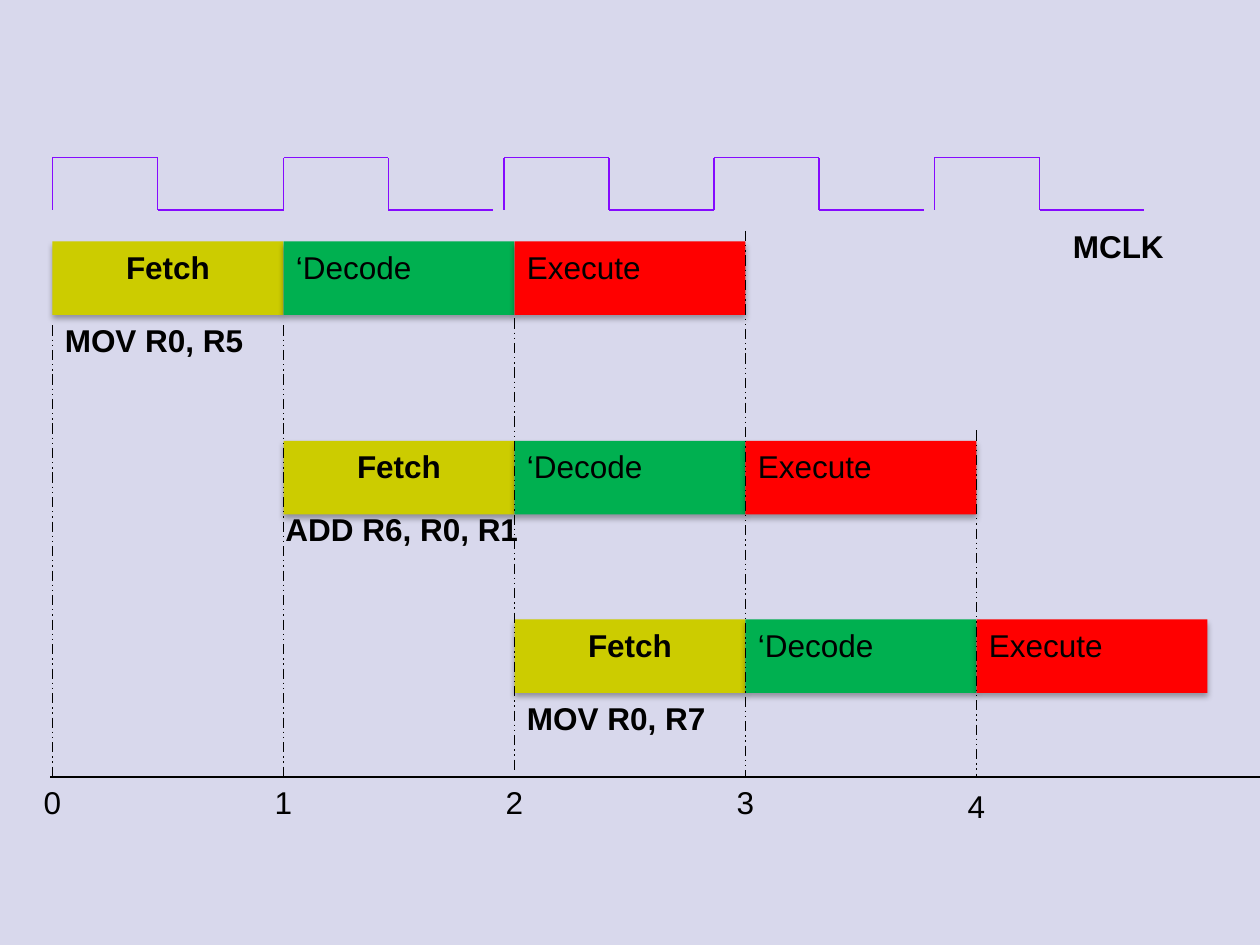
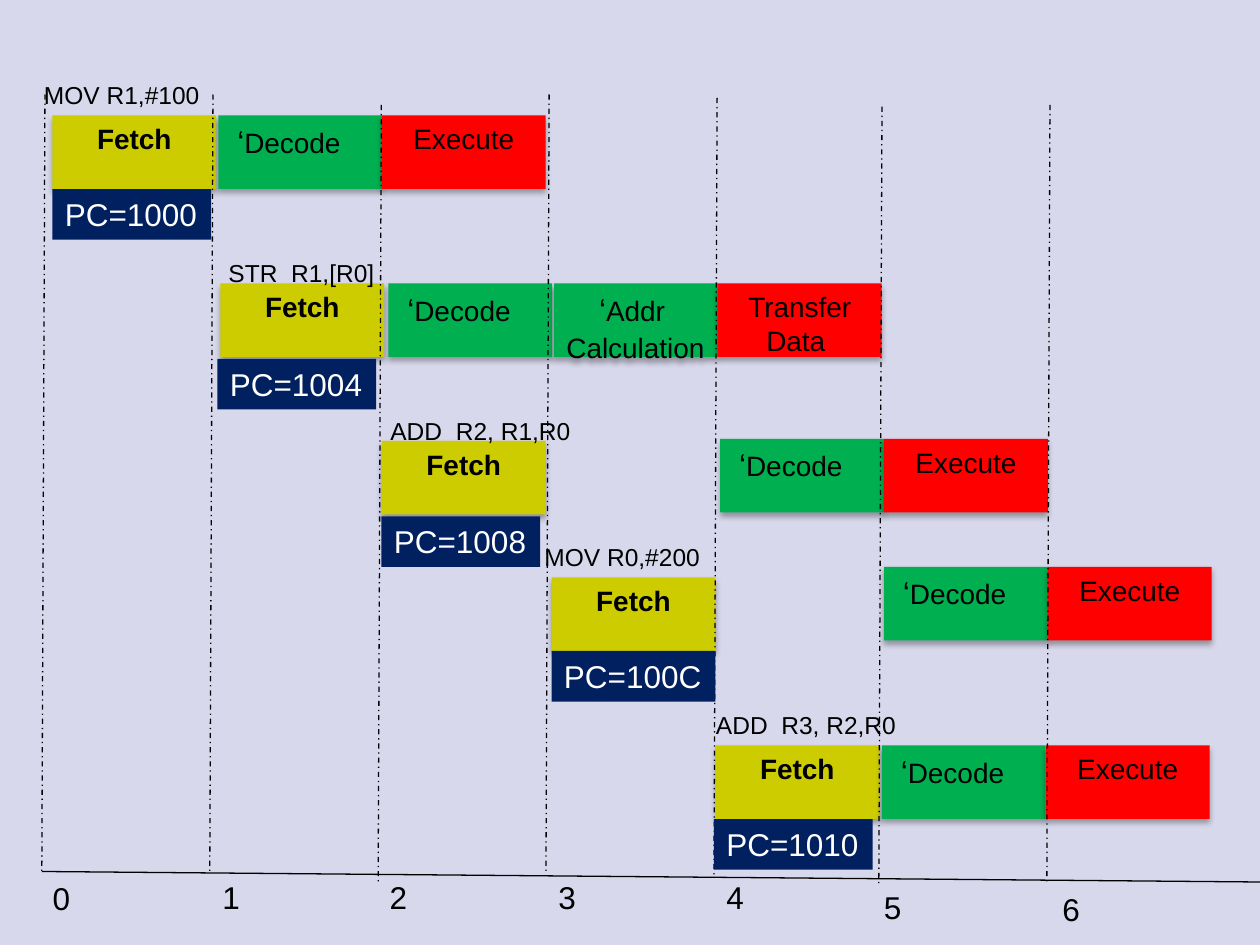
from lxml.etree import SubElement
from pptx import Presentation
from pptx.dml.color import RGBColor
from pptx.enum.dml import MSO_LINE
from pptx.enum.shapes import MSO_CONNECTOR, MSO_SHAPE
from pptx.enum.text import MSO_ANCHOR, MSO_AUTO_SIZE, PP_ALIGN
from pptx.oxml.ns import qn
from pptx.util import Pt

RECT, LINE = MSO_SHAPE.RECTANGLE, MSO_CONNECTOR.STRAIGHT
TOP, GROW = MSO_ANCHOR.TOP, MSO_AUTO_SIZE.SHAPE_TO_FIT_TEXT
LEFT, MID = PP_ALIGN.LEFT, PP_ALIGN.CENTER
DASH, DOTS = MSO_LINE.DASH_DOT, MSO_LINE.DASH_DOT_DOT
FONT = "Arial"
COLORS = {"back": "D8D8EC", "ink": "000000", "white": "FFFFFF", "clock": "850AFF",
          "fetch": "CCCC00", "decode": "00B050", "run": "FF0000", "pc": "002060"}

# Stage: fill, bold, lines of (text, size) runs
FETCH = ("fetch", True, [[("Fetch", 16)]])
DECODE = ("decode", False, [[("‘", 18), ("Decode", 16), ("\t", 18)]])
ADDR = ("decode", False, [[("‘", 18), ("Addr ", 16)],
                          [("Calculation", 16), ("\t", 18)]])
RUN = ("run", False, [[("Execute", 16)]])
MOVE = ("run", False, [[("Transfer", 16)], [("Data ", 16)]])
BAR = 42  # stage height


def color(name):
    return RGBColor.from_string(COLORS[name])


def write(frame, lines, ink="ink", bold=False, align=LEFT, wrap=True):
    frame.word_wrap = wrap
    frame.vertical_anchor = TOP
    for i, line in enumerate(lines):
        par = frame.add_paragraph() if i else frame.paragraphs[0]
        par.alignment = align
        for text, size in line:
            run = par.add_run()
            run.text = text
            run.font.name, run.font.size, run.font.bold = FONT, Pt(size), bold
            run.font.color.rgb = color(ink)


def block(slide, x, y, w, h, fill):
    shape = slide.shapes.add_shape(RECT, Pt(x), Pt(y), Pt(w), Pt(h))
    shape.fill.solid()
    shape.fill.fore_color.rgb = color(fill)
    shape.line.fill.background()
    shape.shadow.inherit = False
    return shape


def stage(slide, x, y, w, kind, align=MID):
    fill, bold, lines = kind
    shape = block(slide, x, y, w, BAR, fill)
    effect = shape._element.spPr.find(qn("a:effectLst"))
    shade = SubElement(effect, qn("a:outerShdw"), blurRad=str(Pt(3.5)),
                       dist=str(Pt(2.2)), dir="5400000", rotWithShape="0")
    tone = SubElement(shade, qn("a:srgbClr"), val=COLORS["ink"])
    SubElement(tone, qn("a:alpha"), val="32000")
    write(shape.text_frame, lines, bold=bold, align=align)


def label(slide, x, y, w, h, text, size=18, bold=False, wrap=False):
    box = slide.shapes.add_textbox(Pt(x), Pt(y), Pt(w), Pt(h))
    write(box.text_frame, [[(text, size)]], bold=bold, wrap=wrap)
    box.text_frame.auto_size = GROW


def rule(slide, x1, y1, x2, y2, ink="ink", dash=None):
    line = slide.shapes.add_connector(LINE, Pt(x1), Pt(y1), Pt(x2), Pt(y2))
    line.line.color.rgb = color(ink)
    line.line.width = Pt(0.75)
    if dash:
        line.line.dash_style = dash
    SubElement(line._element.spPr, qn("a:effectLst"))


def tick(slide, x, y, num):
    label(slide, x, y, 24.3, 29, str(num))


def clock(slide, top, height, pulses):
    """Square wave: each pulse has a start and the length of its low part."""
    high = 60
    for x, low in pulses:
        fall, base = x + high, top + height
        rule(slide, x, base, x, top, "clock")
        rule(slide, x, top, fall, top, "clock")
        rule(slide, fall, base, fall, top, "clock")
        rule(slide, fall, base, fall + low, base, "clock")


def simple(slide, left, step):
    """Three instructions, each one cycle after the last."""
    kinds = [("fetch", True, [[("Fetch", 18)]], MID),
             ("decode", False, [[("‘Decode\t", 18)]], LEFT),
             ("run", False, [[("Execute", 18)]], LEFT)]
    # Bar top, then note left, top, width and text
    rows = [(138, 30, 180, 138, "MOV R0, R5"),
            (252, 156, 288, 162, "ADD R6, R0, R1"),
            (354, 294, 396, 132, "MOV R0, R7")]
    for i, (y, *_) in enumerate(rows):
        for j, (*kind, align) in enumerate(kinds):
            stage(slide, left + (i + j) * step, y, step, kind, align)
    for _, x, y, w, text in rows:
        label(slide, x, y, w, 29, text, bold=True, wrap=True)

    # Time axis and cycle guides
    base = 444
    rule(slide, left - 1.2, base, 720, base)
    spans = [(186, base), (186, base), (182, 440.6), (132, base), (246, base)]
    for i, (y1, y2) in enumerate(spans):
        x = left + i * step
        rule(slide, x, y1, x, y2, dash=DOTS)
        tick(slide, x - 12.2, base + (2 if i == 4 else 0), i)

    clock(slide, 90, 30, [(30, 72), (162, 60), (288, 60), (408, 60), (534, 60)])
    label(slide, 606, 126, 78, 29, "MCLK", bold=True, wrap=True)


def stalled(slide, wide):
    """Five instructions with a wait after the store."""
    # Stages as (left, top, kind), note as (left, top, width, text),
    # program counter as (left, top, width, value)
    rows = [
        ([(30, 66, FETCH), (124.8, 66, DECODE), (218.2, 66, RUN)],
         (18, 42, 103.5, "MOV R1,#100"), (30, 108, 90.7, "1000")),
        ([(126, 162, FETCH), (222, 162, DECODE), (316.6, 162, ADDR),
          (410.2, 162, MOVE)],
         (123.5, 144, 98.6, "STR  R1,[R0]"), (124.3, 205, 90.7, "1004")),
        ([(218.2, 252, FETCH), (411.6, 250.8, DECODE), (505.2, 250.8, RUN)],
         (216, 234, 118, "ADD  R2, R1,R0"), (218, 295, 90.7, "1008")),
        ([(315.2, 330, FETCH), (505.2, 324, DECODE), (598.8, 324, RUN)],
         (304, 306, 103.5, "MOV R0,#200"), (315.2, 372, 93.6, "100C")),
        ([(408.8, 426, FETCH), (504, 426, DECODE), (597.6, 426, RUN)],
         (402, 402, 118, "ADD  R3, R2,R0"), (408, 468, 90.7, "1010")),
    ]
    for parts, *_ in rows:
        for x, y, kind in parts:
            stage(slide, x, y, wide, kind)

    # Leaning cycle guides: top end, then tick left and top
    guides = [(25.7, 54, 23, 499), (121.7, 54, 120, 498), (217.9, 60, 215.5, 498),
              (313.8, 54, 312, 498), (409.8, 56, 408, 498), (504, 61, 498, 504),
              (600, 60, 600, 505)]
    for i, (x, y, left, top) in enumerate(guides):
        rule(slide, x, y, x - 1.8, y + 444, dash=DASH)
        tick(slide, left, top, i)

    for _, note, count in rows:
        x, y, w, text = note
        label(slide, x, y, w, 24.2, text, 14)
        x, y, w, value = count
        box = block(slide, x, y, w, 29, "pc")
        write(box.text_frame, [[("PC=" + value, 18)]], "white", wrap=False)
        box.text_frame.auto_size = GROW
    rule(slide, 24, 498, 720, 504)


deck = Presentation()
deck.slide_width, deck.slide_height = Pt(720), Pt(540)
back = deck.slide_master.background.fill
back.solid()
back.fore_color.rgb = color("back")
blank = deck.slide_layouts[6]
simple(deck.slides.add_slide(blank), 30, 132)
stalled(deck.slides.add_slide(blank), 93.6)
deck.save("out.pptx")
